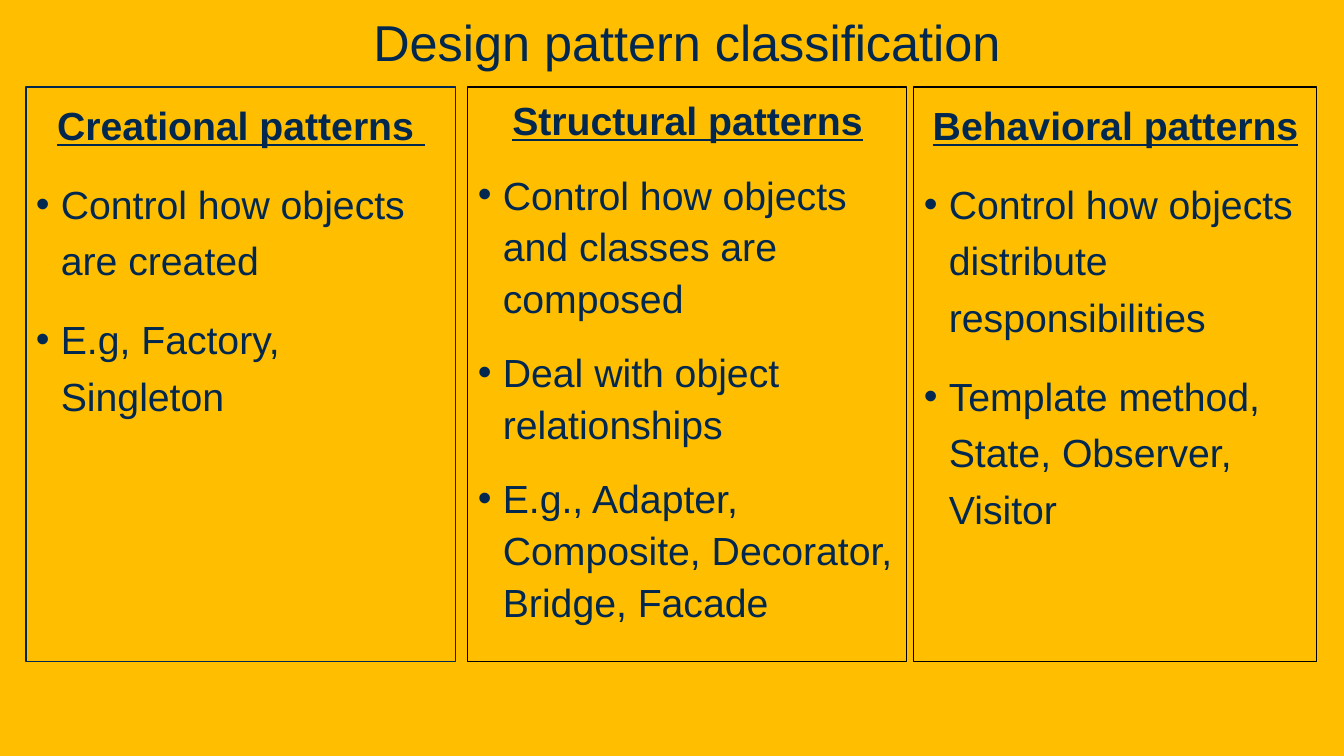
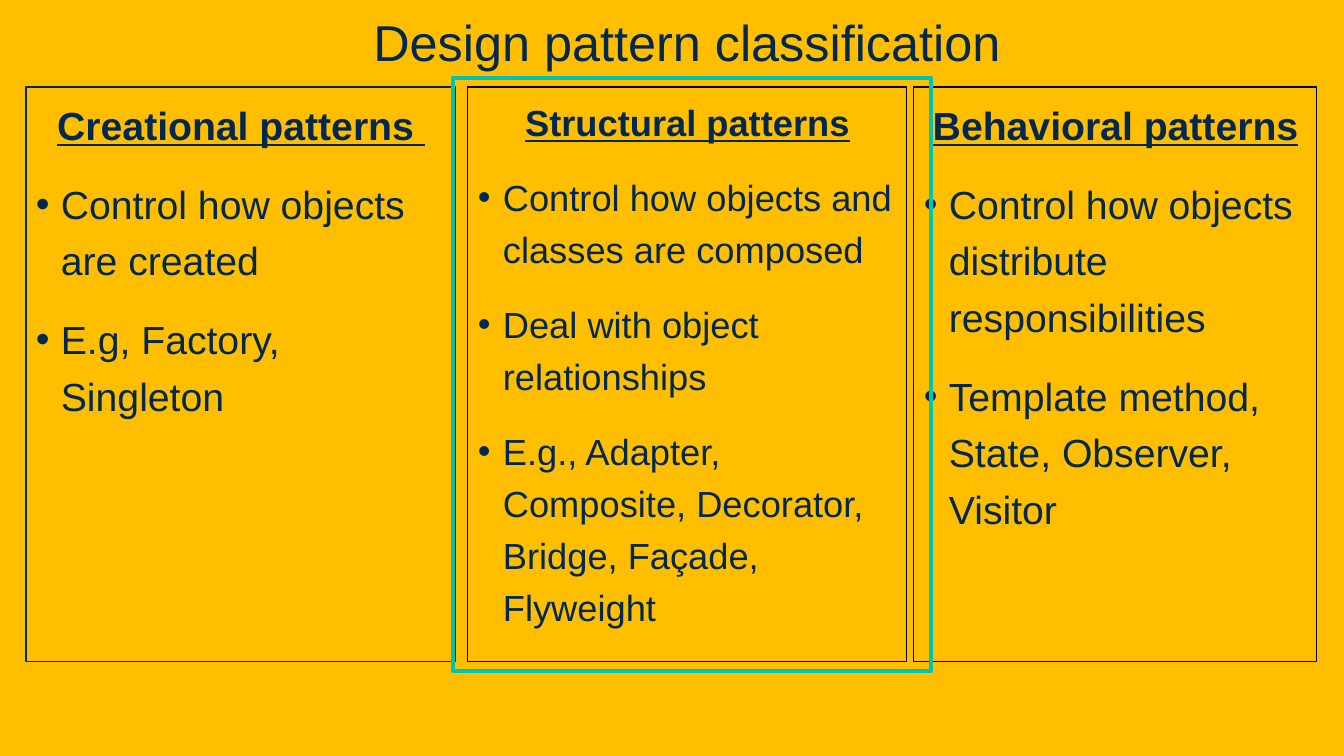
"""Build two slides that classify design patterns in three columns."""
from lxml.etree import SubElement
from pptx import Presentation
from pptx.dml.color import RGBColor
from pptx.enum.shapes import MSO_SHAPE
from pptx.enum.text import MSO_ANCHOR, PP_ALIGN
from pptx.oxml.ns import qn
from pptx.util import Emu, Pt

COLORS = {"amber": "FFBE00", "navy": "022850", "black": "000000", "teal": "00C4B2"}
FONT = "Arial"
TITLE = "Design pattern classification"
INDENT = 25
TITLE_INDENT = 30
COLUMN_TOP, COLUMN_HEIGHT = 87, 575
HIGHLIGHT = (453, 78, 478, 593)


def px(length):
    """Turn slide pixels into EMU."""
    return Emu(round(length * 914400 / 100.8))


def add_frame(page, bounds, color, width):
    """Add an outlined, unfilled rectangle."""
    box = page.shapes.add_shape(MSO_SHAPE.RECTANGLE, *map(px, bounds))
    box.shadow.inherit = False
    box.fill.background()
    box.line.color.rgb = RGBColor.from_string(COLORS[color])
    box.line.width = Pt(width)
    return box


creational = {
    "left": 26, "width": 430, "line": "navy", "size": 28, "spacing": 1.2,
    "texts": ["Creational patterns ", "Control how objects are created",
              "E.g, Factory, Singleton"],
}
structural = {
    "left": 468, "width": 439, "line": "black", "size": 28, "spacing": 1.1,
    "texts": ["Structural patterns", "Control how objects and classes are composed",
              "Deal with object relationships",
              "E.g., Adapter, Composite, Decorator, Bridge, Facade"],
}
behavioral = {
    "left": 914, "width": 403, "line": "black", "size": 28, "spacing": 1.2,
    "texts": ["Behavioral patterns", "Control how objects distribute responsibilities",
              "Template method, State, Observer, Visitor"],
}
structural_extended = {
    **structural, "size": 25.9, "spacing": 1.2,
    "texts": structural["texts"][:-1]
    + ["E.g., Adapter, Composite, Decorator, Bridge, Façade, Flyweight"],
}
slides = [
    ([creational, structural, behavioral], False),
    ([creational, structural_extended, behavioral], True),
]

deck = Presentation()
deck.slide_width, deck.slide_height = px(1344), px(756)

for columns, highlighted in slides:
    page = deck.slides.add_slide(deck.slide_layouts[6])
    page.background.fill.solid()
    page.background.fill.fore_color.rgb = RGBColor.from_string(COLORS["amber"])

    title = page.shapes.add_textbox(0, 0, deck.slide_width, px(77)).text_frame
    title.word_wrap = True
    title.vertical_anchor = MSO_ANCHOR.BOTTOM
    para = title.paragraphs[0]
    para.alignment = PP_ALIGN.CENTER
    para._p.get_or_add_pPr().set("marL", str(px(TITLE_INDENT)))
    span = para.add_run()
    span.text = TITLE
    for name, value in {"name": FONT, "size": Pt(36)}.items():
        setattr(span.font, name, value)
    span.font.color.rgb = RGBColor.from_string(COLORS["navy"])

    for column in columns:
        bounds = (column["left"], COLUMN_TOP, column["width"], COLUMN_HEIGHT)
        frame = add_frame(page, bounds, column["line"], 0.75).text_frame
        frame.word_wrap = True
        frame.vertical_anchor = MSO_ANCHOR.TOP
        for index, text in enumerate(column["texts"]):
            heading = index == 0
            para = frame.paragraphs[0] if heading else frame.add_paragraph()
            layout = {
                "alignment": PP_ALIGN.CENTER if heading else PP_ALIGN.LEFT,
                "line_spacing": column["spacing"],
                "space_before": Pt(0 if heading else 10),
                "space_after": Pt(6),
            }
            for name, value in layout.items():
                setattr(para, name, value)
            if not heading:
                properties = para._p.get_or_add_pPr()
                properties.set("marL", str(px(INDENT)))
                properties.set("indent", str(-px(INDENT)))
                SubElement(properties, qn("a:buFont"), typeface=FONT)
                SubElement(properties, qn("a:buChar"), char="•")
            span = para.add_run()
            span.text = text
            style = {"name": FONT, "size": Pt(column["size"]),
                     "bold": heading, "underline": heading}
            for name, value in style.items():
                setattr(span.font, name, value)
            span.font.color.rgb = RGBColor.from_string(COLORS["navy"])

    if highlighted:
        add_frame(page, HIGHLIGHT, "teal", 3.25)

deck.save("out.pptx")
